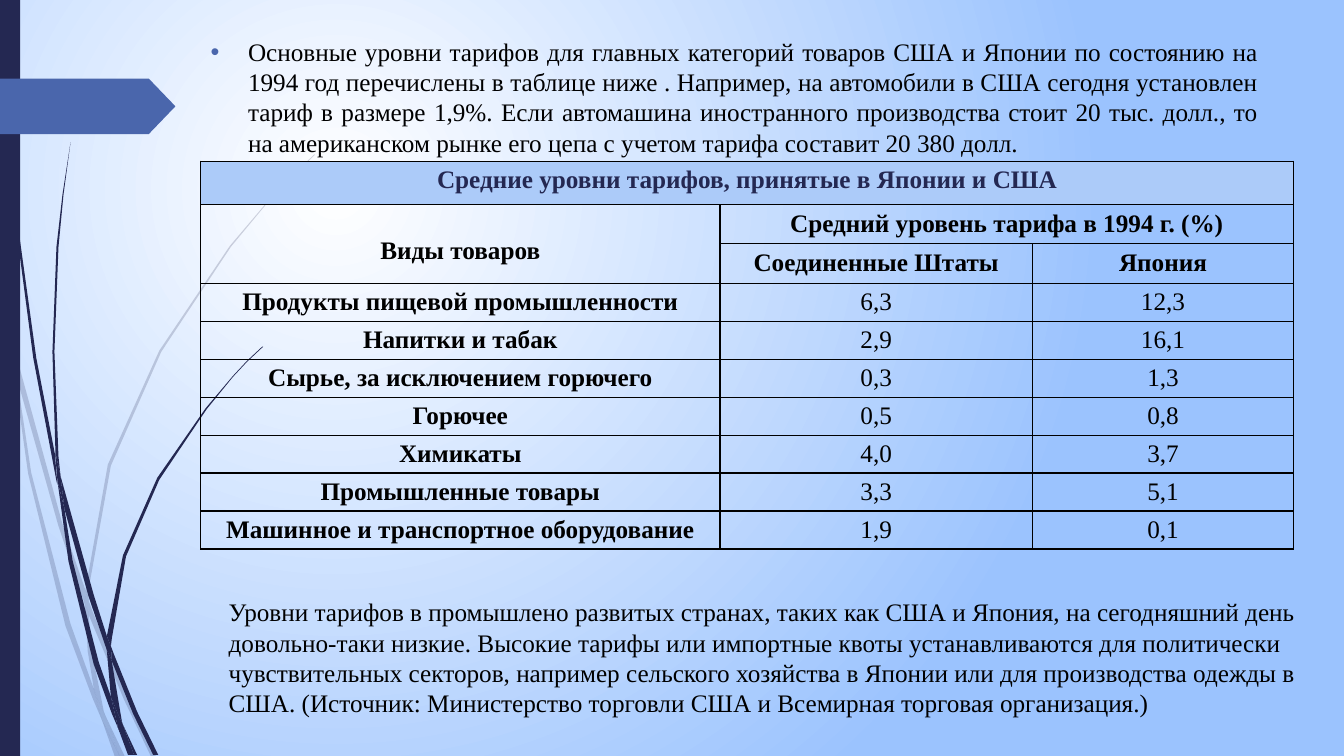
from lxml.etree import SubElement as Sub
from pptx import Presentation
from pptx.dml.color import RGBColor
from pptx.enum.shapes import MSO_SHAPE as Shape
from pptx.enum.text import MSO_ANCHOR as Anchor, PP_ALIGN as Align
from pptx.oxml.ns import qn
from pptx.util import Inches, Pt

NAVY = RGBColor(0x24, 0x28, 0x52)
BLUE = RGBColor(0x4A, 0x66, 0xAC)
PALE = RGBColor(0xAC, 0xCB, 0xF9)
SKY = RGBColor(0x9B, 0xC3, 0xFE)
WHITE = RGBColor(0xFF, 0xFF, 0xFF)
BLACK = RGBColor(0, 0, 0)
FONT = "Times New Roman"

INTRO = (
    "Основные уровни тарифов для главных категорий товаров США и Японии по состоянию на "
    "1994 год перечислены в таблице ниже . Например, на автомобили в США сегодня установлен "
    "тариф в размере 1,9%. Если автомашина иностранного производства стоит 20 тыс. долл., то "
    "на американском рынке его цепа с учетом тарифа составит 20 380 долл.")
NOTE = (
    "Уровни тарифов в промышлено развитых странах, таких как США и Япония, на сегодняшний день "
    "довольно-таки низкие. Высокие тарифы или импортные квоты устанавливаются для политически "
    "чувствительных секторов, например сельского хозяйства в Японии или для производства одежды в "
    "США. (Источник: Министерство торговли США и Всемирная торговая организация.)")
ROWS = [
    ("Средние уровни тарифов, принятые в Японии и США", "", ""),
    ("Виды товаров", "Средний уровень тарифа в 1994 г. (%)", ""),
    ("", "Соединенные Штаты", "Япония"),
    ("Продукты пищевой промышленности", "6,3", "12,3"),
    ("Напитки и табак", "2,9", "16,1"),
    ("Сырье, за исключением горючего", "0,3", "1,3"),
    ("Горючее", "0,5", "0,8"),
    ("Химикаты", "4,0", "3,7"),
    ("Промышленные товары", "3,3", "5,1"),
    ("Машинное и транспортное оборудование", "1,9", "0,1"),
]
HEADS = 3
WIDTHS = [5.15, 3.1, 2.59]
HEIGHTS = [0.43, 0.39, 0.39] + [2.64 / 7] * 7

FAINT = [
    [(0.11, 3.5), (0.09, 3.22), (0, 2.82), (0, 2.99), (0.1, 3.44)],
    [(0.58, 5.22), (0.84, 5.99), (0.85, 5.86), (0.62, 5.2), (0.14, 3.45), (0.17, 3.76)],
    [(0.92, 6.07), (0.88, 5.96), (0.88, 6.1), (1.23, 6.94), (1.5, 7.51), (1.55, 7.51),
     (1.27, 6.92)],
    [(1.19, 7.51), (1.24, 7.51), (1.05, 7.11)],
    [(0.93, 6.83), (0.7, 6.19), (0.31, 4.69), (0.17, 3.76), (0.11, 3.5), (0.28, 4.7),
     (0.65, 6.21), (0.92, 6.93), (1.01, 7.14), (0.99, 7.07)],
    [(0.84, 5.99), (0.87, 6.46), (0.93, 6.83), (0.96, 6.92), (1.05, 7.11), (1.03, 7.06),
     (0.91, 6.46), (0.88, 6.1), (0.88, 6.08)],
    [(0.88, 5.84), (1.1, 4.62), (1.6, 3.49), (2.29, 2.45), (2.68, 1.98), (2.9, 1.75),
     (3.12, 1.54), (3.12, 1.53), (2.89, 1.75), (2.68, 1.97), (2.28, 2.44), (1.58, 3.48),
     (1.07, 4.61), (0.85, 5.84), (0.85, 5.86), (0.88, 5.96)],
    [(1.01, 7.14), (1.14, 7.51), (1.19, 7.51)],
    [(0.88, 6.08), (0.88, 6.1), (0.88, 5.96), (0.85, 5.86), (0.84, 5.99)],
    [(0.96, 6.92), (0.93, 6.83), (0.99, 7.07), (1.01, 7.14), (1.19, 7.51), (1.05, 7.11)],
]
DARK = [
    [(0.07, 1.1), (0.17, 2.33), (0.33, 3.55), (0.56, 4.77), (0.57, 4.81), (0.55, 4.57),
     (0.55, 4.53), (0.36, 3.55), (0.19, 2.32), (0.08, 1.09), (0.05, 0.48), (0.04, 0),
     (0.03, 0), (0.04, 0.48)],
    [(0.88, 5.92), (1.06, 6.45), (1.06, 6.31), (0.93, 5.9), (0.6, 4.72), (0.64, 5.05)],
    [(1.13, 6.49), (1.1, 6.41), (1.11, 6.56), (1.32, 7.08), (1.52, 7.49), (1.57, 7.49),
     (1.36, 7.06)],
    [(1.1, 6.91), (0.98, 6.57), (0.72, 5.56), (0.64, 5.05), (0.57, 4.77), (0.68, 5.57),
     (0.93, 6.59), (1.11, 7.08), (1.17, 7.22), (1.16, 7.17)],
    [(0.6, 4.72), (0.58, 4.53), (0.54, 3.49), (0.58, 2.45), (0.63, 1.93), (0.7, 1.41),
     (0.62, 1.93), (0.56, 2.45), (0.52, 3.49), (0.55, 4.49)],
    [(1.33, 7.49), (1.36, 7.49), (1.22, 7.19)],
    [(0.57, 4.77), (0.64, 5.05), (0.6, 4.72), (0.55, 4.49), (0.55, 4.53)],
    [(1.11, 6.33), (1.25, 5.52), (1.58, 4.76), (2.05, 4.06), (2.31, 3.74), (2.45, 3.59),
     (2.61, 3.44), (2.6, 3.44), (2.45, 3.58), (2.31, 3.73), (2.04, 4.05), (1.56, 4.74),
     (1.22, 5.51), (1.06, 6.31), (1.1, 6.41)],
    [(1.17, 7.22), (1.27, 7.49), (1.31, 7.49)],
    [(1.06, 6.45), (1.1, 6.91), (1.16, 7.06), (1.22, 7.19), (1.21, 7.16), (1.11, 6.56),
     (1.09, 6.51)],
    [(1.06, 6.45), (1.09, 6.51), (1.11, 6.56), (1.1, 6.41), (1.06, 6.31)],
    [(1.16, 7.06), (1.1, 6.91), (1.16, 7.17), (1.17, 7.22), (1.3, 7.49), (1.33, 7.49),
     (1.22, 7.19)],
]


def paint(shape, color, alpha=100):
    """Give a shape a plain fill without line or shadow."""
    shape.shadow.inherit = False
    shape.fill.solid()
    shape.fill.fore_color.rgb = color
    shape.line.fill.background()
    if alpha < 100:
        tint = shape._element.spPr.find(".//" + qn("a:srgbClr"))
        Sub(tint, qn("a:alpha"), val=str(alpha * 1000))


def add_back(slide):
    """Fill the background with a round gradient."""
    fill = slide.background.fill
    fill.gradient()
    for stop, color, pos in zip(fill.gradient_stops, (WHITE, SKY), (0, 1)):
        stop.color.rgb = color
        stop.position = pos
    grad = slide._element.find(".//" + qn("a:gradFill"))
    grad.remove(grad.find(qn("a:lin")))
    ring = Sub(grad, qn("a:path"), path="circle")
    Sub(ring, qn("a:fillToRect"), l="50000", t="50000", r="100000", b="100000")


def add_stems(slide, x, y, stems, alpha):
    """Draw the blades that make up the curved stems."""
    for stem in stems:
        points = [(Inches(x + px), Inches(y + py)) for px, py in stem]
        pen = slide.shapes.build_freeform(*points[0])
        pen.add_line_segments(points[1:])
        paint(pen.convert_to_shape(), NAVY, alpha)


def add_side(slide, x, y, h):
    """Draw the stems, the side bar and the arrow tag."""
    add_stems(slide, x, y, FAINT, 20)
    add_stems(slide, x, y, DARK, 100)
    bar = slide.shapes.add_shape(Shape.RECTANGLE, Inches(x), Inches(y), Inches(0.2), Inches(h))
    paint(bar, NAVY)
    tag = slide.shapes.add_shape(
        Shape.PENTAGON, Inches(x), Inches(y + 0.78), Inches(1.74), Inches(0.55))
    tag.adjustments[0] = 0.48
    paint(tag, BLUE)


def write(frame, text, align, color=BLACK, bold=False):
    """Put one styled paragraph in a text frame."""
    para = frame.paragraphs[0]
    para.text = text
    para.alignment = align
    font = para.font
    font.name, font.size, font.bold, font.color.rgb = FONT, Pt(18), bold, color
    return para


def add_intro(slide, x, y, w, h):
    """Fill the body placeholder with the bulleted text."""
    body = slide.placeholders[1]
    body.left, body.top, body.width, body.height = map(Inches, (x, y, w, h))
    para = write(body.text_frame, INTRO, Align.JUSTIFY)
    para.space_before = Pt(10)
    props = para._p.get_or_add_pPr()
    props.set("marL", str(Inches(0.37)))
    props.set("indent", str(-Inches(0.37)))
    mark = props.makeelement(qn("a:buClr"))
    Sub(mark, qn("a:srgbClr"), val=str(BLUE))
    dot = props.makeelement(qn("a:buChar"), char="•")
    props.find(qn("a:defRPr")).addprevious(mark)
    mark.addnext(dot)


def frame_cell(cell):
    """Draw thin black borders around a cell."""
    props = cell._tc.get_or_add_tcPr()
    for side in "LRTB":
        line = Sub(props, qn("a:ln" + side), w=str(Pt(1)))
        Sub(Sub(line, qn("a:solidFill")), qn("a:srgbClr"), val=str(BLACK))


def add_rates(slide, x, y):
    """Build the table of tariff rates."""
    table = slide.shapes.add_table(
        len(ROWS), len(WIDTHS), Inches(x), Inches(y),
        Inches(sum(WIDTHS)), Inches(sum(HEIGHTS))).table
    table.first_row = table.horz_banding = False
    for col, width in zip(table.columns, WIDTHS):
        col.width = Inches(width)
    for i, (row, height) in enumerate(zip(table.rows, HEIGHTS)):
        row.height = Inches(height)
        for j, cell in enumerate(row.cells):
            frame_cell(cell)
            cell.fill.background()
            cell.margin_top, cell.margin_bottom = Inches(0.05), Inches(0.03)
            write(cell.text_frame, ROWS[i][j], Align.CENTER,
                  BLACK if i else NAVY, i < HEADS or j == 0)
    top, kinds = table.cell(0, 0), table.cell(1, 0)
    top.fill.solid()
    top.fill.fore_color.rgb = PALE
    top.merge(table.cell(0, 2))
    kinds.merge(table.cell(2, 0))
    kinds.vertical_anchor = Anchor.BOTTOM
    kinds.margin_bottom = Inches(0.18)
    table.cell(1, 1).merge(table.cell(1, 2))


def add_note(slide, x, y, w, h):
    """Add the closing text."""
    box = slide.shapes.add_textbox(*map(Inches, (x, y, w, h)))
    box.text_frame.word_wrap = True
    write(box.text_frame, NOTE, Align.LEFT)


def main():
    """Build and save the slide."""
    deck = Presentation()
    deck.slide_width, deck.slide_height = Inches(13.33), Inches(7.5)
    slide = deck.slides.add_slide(deck.slide_layouts[1])
    title = slide.shapes.title._element
    title.getparent().remove(title)
    add_back(slide)
    add_side(slide, 0, 0, 7.5)
    add_intro(slide, 1.99, 0.31, 10.59, 4.13)
    add_rates(slide, 1.99, 1.6)
    add_note(slide, 2.17, 5.87, 10.93, 1.31)
    deck.save("out.pptx")


if __name__ == "__main__":
    main()
